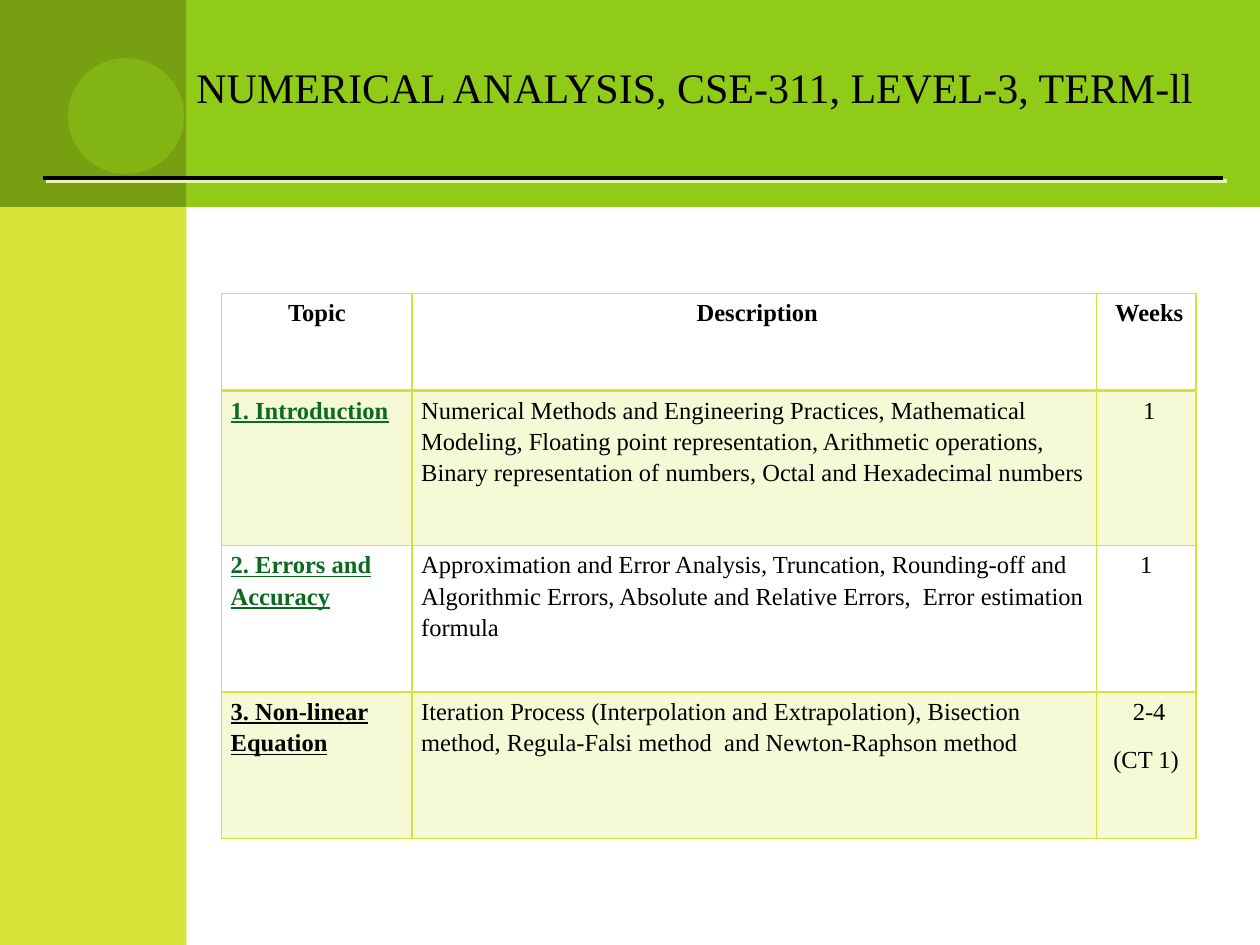
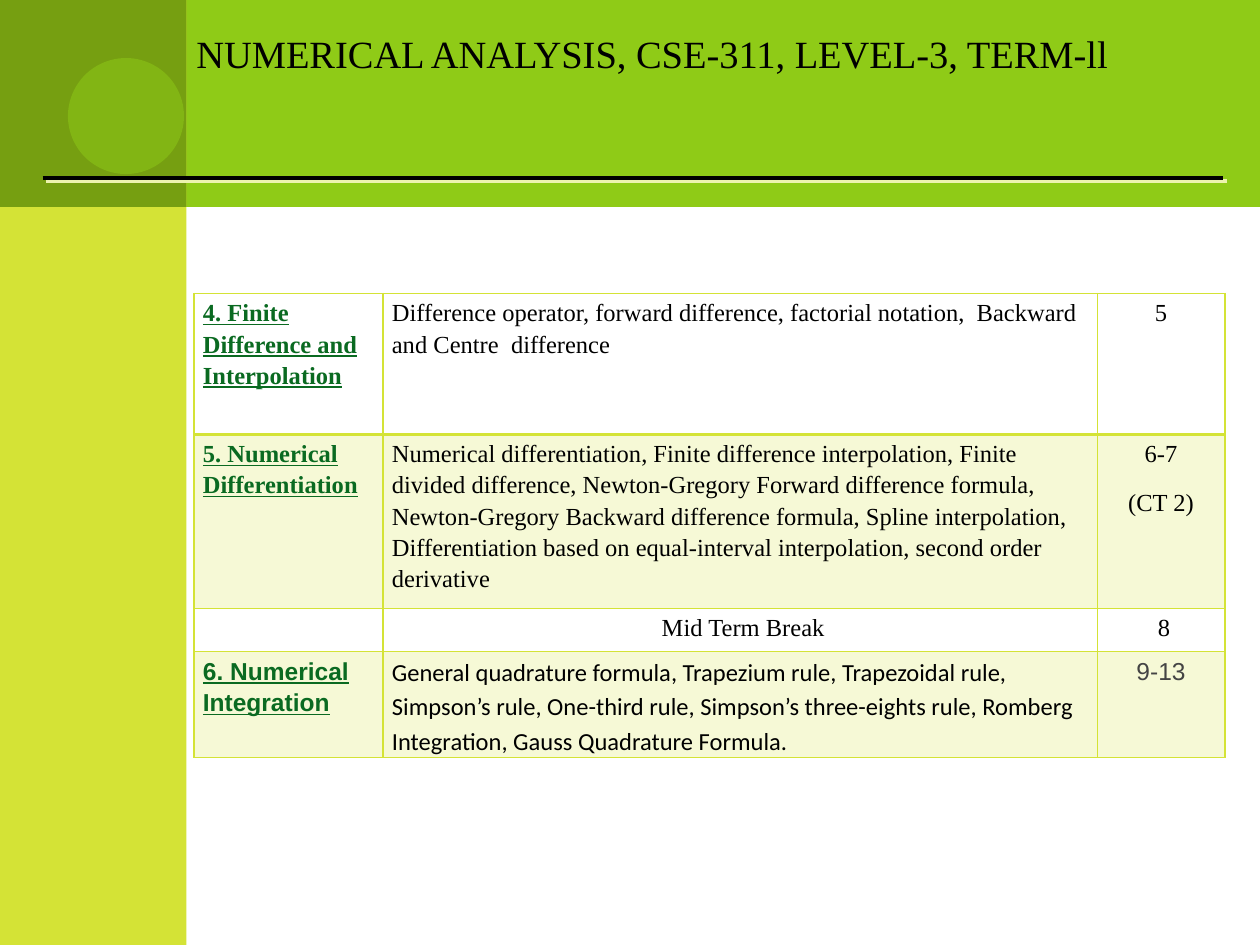
from lxml.etree import SubElement
from pptx import Presentation
from pptx.dml.color import RGBColor
from pptx.enum.shapes import MSO_CONNECTOR, MSO_SHAPE
from pptx.enum.text import MSO_AUTO_SIZE, PP_ALIGN
from pptx.oxml import parse_xml
from pptx.oxml.ns import nsdecls, qn
from pptx.util import Cm, Pt

COLORS = {
    "band": "8FCB17", "side": "D4E336", "corner": "769F11", "shadow": "EDF3AE",
    "black": "000000", "topic": "0A6A21", "grey": "444444",
}
SERIF = "Times New Roman"
TITLE = "NUMERICAL ANALYSIS, CSE-311, LEVEL-3, TERM-ll"
TABLE_TOP = 5.92

# Preset, left, top, width, height, colour, opacity in percent
BACKDROP = [
    (MSO_SHAPE.RECTANGLE, 1.27, 0, 24.13, 4.17, "band", 100),
    (MSO_SHAPE.RECTANGLE, 0, 0, 3.76, 19.05, "side", 100),
    (MSO_SHAPE.RECTANGLE, 0, 0, 3.76, 4.17, "corner", 100),
    (MSO_SHAPE.OVAL, 1.37, 1.17, 2.34, 2.34, "band", 50),
]

# Formats of the three columns, and changes for particular rows
COLUMN_FORMATS = [
    {"bold": True, "underline": True, "color": "topic"},
    {},
    {"align": PP_ALIGN.CENTER, "space_after": 10},
]
HEADING = {"bold": True, "underline": False, "color": "black",
           "align": PP_ALIGN.CENTER, "space_after": 10}
BREAK = {"align": PP_ALIGN.CENTER, "space_after": 10}

# Each row: its height, its three texts, its format changes by column
SLIDES = [
    {
        "title_box": (3.71, 1.12, 21.41, 1.27), "title_size": 24,
        "left": 4.47, "columns": [3.84, 13.79, 2.01],
        "rows": [
            (1.96, ["Topic", "\u00a0Description", "\u00a0Weeks"],
             {0: HEADING, 1: HEADING, 2: HEADING}),
            (3.12, ["1. Introduction",
                    "Numerical Methods and Engineering Practices, Mathematical "
                    "Modeling, Floating point representation, Arithmetic operations, "
                    "Binary representation of numbers, Octal and Hexadecimal numbers",
                    "\u00a01"], {}),
            (2.95, ["2. Errors and Accuracy",
                    "Approximation and Error Analysis, Truncation, Rounding-off and "
                    "Algorithmic Errors, Absolute and Relative Errors,  Error "
                    "estimation formula", "1"], {}),
            (2.95, ["3. Non-linear Equation",
                    "Iteration Process (Interpolation and Extrapolation), Bisection "
                    "method, Regula-Falsi method  and Newton-Raphson method",
                    "\u00a02-4\n(CT 1)"], {0: {"color": "black"}}),
        ],
    },
    {
        "title_box": (3.71, 0.48, 20.6, 1.19), "title_size": 22,
        "left": 3.91, "columns": [3.81, 14.4, 2.57],
        "rows": [
            (2.84, ["4. Finite Difference and Interpolation",
                    "Difference operator, forward difference, factorial notation,  "
                    "Backward and Centre  difference", "5"], {}),
            (3.48, ["5. Numerical Differentiation",
                    "Numerical differentiation, Finite difference interpolation, "
                    "Finite divided difference, Newton-Gregory Forward difference "
                    "formula,  Newton-Gregory Backward difference formula, Spline "
                    "interpolation, Differentiation based on equal-interval "
                    "interpolation, second order derivative", "6-7\n(CT 2)"], {}),
            (0.84, ["", "\u00a0Mid Term Break", "\u00a08"], {1: BREAK}),
            (2.13, ["6. Numerical Integration",
                    "General quadrature formula, Trapezium rule, Trapezoidal rule, "
                    "Simpson’s rule, One-third rule, Simpson’s three-eights rule, "
                    "Romberg Integration,\u00a0Gauss Quadrature Formula.", "9-13"],
             {0: {"font": "Arial"}, 1: {"font": "Calibri"},
              2: {"font": "Arial", "color": "grey"}}),
        ],
    },
]


def rgb(name):
    """Return the named colour."""
    return RGBColor.from_string(COLORS[name])


def set_opacity(properties, percent):
    """Make the solid fill inside a properties element partly transparent."""
    color = properties.find(qn("a:solidFill")).find(qn("a:srgbClr"))
    SubElement(color, qn("a:alpha"), val=str(percent * 1000))


def write_text(frame, text, size=14, font=SERIF, color="black", bold=False,
               underline=False, align=PP_ALIGN.LEFT, spacing=None, space_after=0):
    """Fill a text frame, one paragraph for each line of the text."""
    frame.word_wrap = True
    for index, line in enumerate(text.split("\n") if text else []):
        paragraph = frame.add_paragraph() if index else frame.paragraphs[0]
        paragraph.alignment = align
        paragraph.line_spacing = spacing
        paragraph.space_after = Pt(space_after)
        run = paragraph.add_run()
        run.text = line
        run.font.size, run.font.name = Pt(size), font
        run.font.bold, run.font.underline = bold, underline
        run.font.color.rgb = rgb(color)


def add_backdrop(slide):
    """Draw the bands, the circle and the shadowed rule."""
    for preset, left, top, width, height, color, opacity in BACKDROP:
        shape = slide.shapes.add_shape(preset, Cm(left), Cm(top), Cm(width), Cm(height))
        shape.shadow.inherit = False
        shape.fill.solid()
        shape.fill.fore_color.rgb = rgb(color)
        shape.line.fill.background()
        if opacity < 100:
            set_opacity(shape._element.spPr, opacity)
    rule = slide.shapes.add_connector(
        MSO_CONNECTOR.STRAIGHT, Cm(0.86), Cm(3.58), Cm(24.66), Cm(3.58))
    rule.line.color.rgb = rgb("black")
    rule.line.width = Pt(2.25)
    rule._element.spPr.append(parse_xml(
        f'<a:effectLst {nsdecls("a")}><a:outerShdw dist="{Pt(2.8)}" dir="2700000" '
        f'algn="ctr" rotWithShape="0"><a:srgbClr val="{COLORS["shadow"]}"/>'
        '</a:outerShdw></a:effectLst>'))


def add_title(slide, box, size):
    """Write the course title."""
    frame = slide.shapes.add_textbox(*map(Cm, box)).text_frame
    frame.auto_size = MSO_AUTO_SIZE.SHAPE_TO_FIT_TEXT
    write_text(frame, TITLE, size=size)


def style_cell(cell, shaded, top_width, bottom_width):
    """Set the margins, fill and borders of a cell."""
    cell.margin_left = cell.margin_right = Cm(0.18)
    cell.margin_top = cell.margin_bottom = Cm(0.05)
    properties = cell._tc.get_or_add_tcPr()
    if shaded:
        cell.fill.solid()
        cell.fill.fore_color.rgb = rgb("side")
        set_opacity(properties, 20)
    else:
        cell.fill.background()
    widths = {"lnL": 1, "lnR": 1, "lnT": top_width, "lnB": bottom_width}
    for position, (tag, width) in enumerate(widths.items()):
        properties.insert(position, parse_xml(
            f'<a:{tag} {nsdecls("a")} w="{Pt(width)}"><a:solidFill>'
            f'<a:srgbClr val="{COLORS["side"]}"/></a:solidFill></a:{tag}>'))


def add_schedule(slide, left, columns, rows):
    """Add the table of topics, with every second row shaded."""
    heights = [row[0] for row in rows]
    table = slide.shapes.add_table(
        len(rows), len(columns), Cm(left), Cm(TABLE_TOP),
        Cm(sum(columns)), Cm(sum(heights))).table
    table.first_row = table.horz_banding = False
    for column, width in zip(table.columns, columns):
        column.width = Cm(width)
    for row_index, (height, texts, changes) in enumerate(rows):
        table.rows[row_index].height = Cm(height)
        for column_index, text in enumerate(texts):
            cell = table.cell(row_index, column_index)
            style_cell(cell, shaded=row_index % 2 == 1,
                       top_width=2 if row_index == 1 else 1,
                       bottom_width=2 if row_index == 0 else 1)
            text_format = {**COLUMN_FORMATS[column_index],
                           **changes.get(column_index, {})}
            write_text(cell.text_frame, text, spacing=1.15, **text_format)


def main():
    """Build and save the presentation."""
    presentation = Presentation()
    presentation.slide_width, presentation.slide_height = Cm(25.4), Cm(19.05)
    for content in SLIDES:
        slide = presentation.slides.add_slide(presentation.slide_layouts[6])
        add_backdrop(slide)
        add_title(slide, content["title_box"], content["title_size"])
        add_schedule(slide, content["left"], content["columns"], content["rows"])
    presentation.save("out.pptx")


main()
